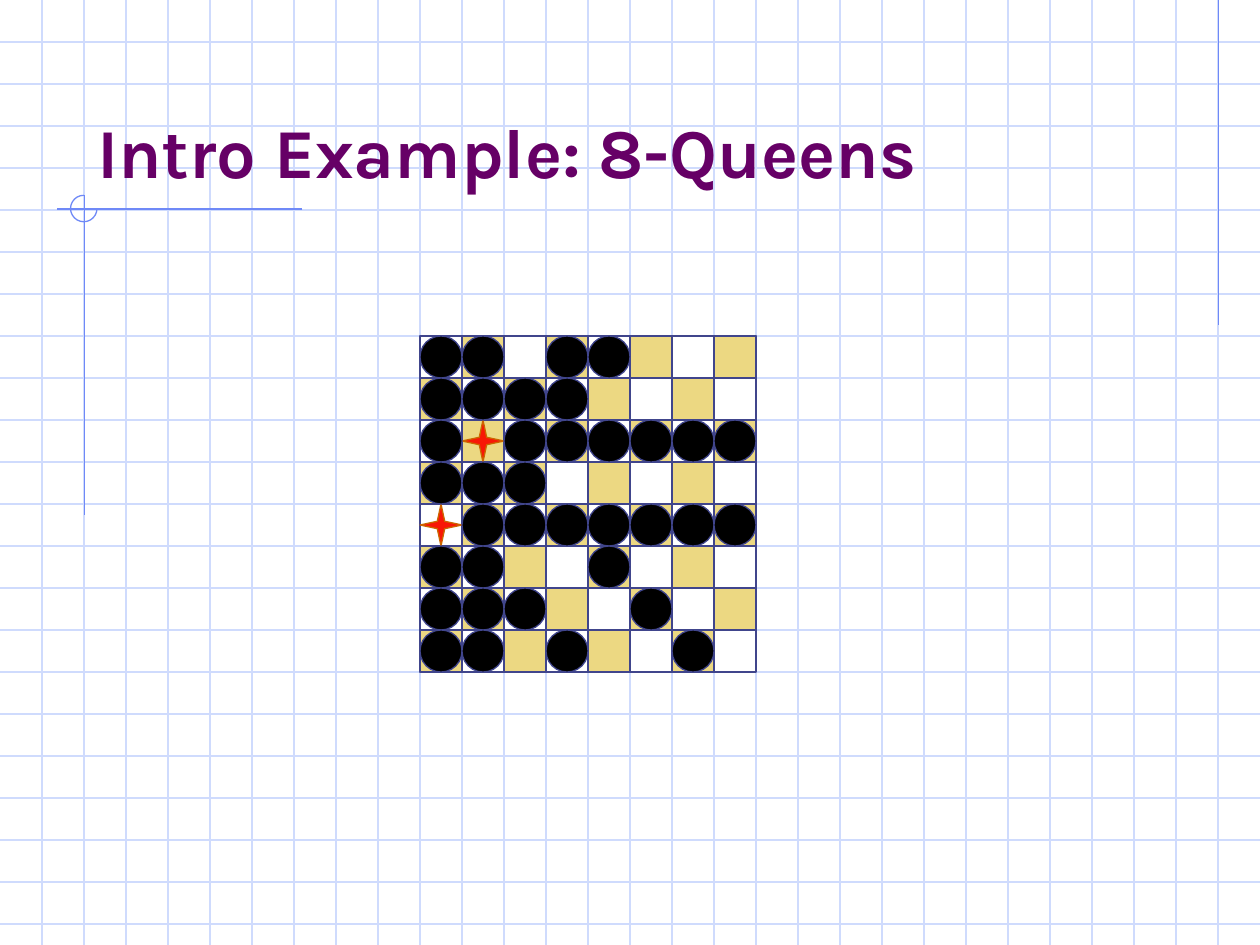
from itertools import product

from lxml.etree import SubElement
from pptx import Presentation
from pptx.dml.color import RGBColor
from pptx.enum.shapes import MSO_CONNECTOR, MSO_SHAPE
from pptx.enum.text import MSO_ANCHOR, MSO_AUTO_SIZE, PP_ALIGN
from pptx.oxml.ns import qn
from pptx.util import Inches, Pt

WIDTH, HEIGHT = 10, 7.5
CELL = 1 / 3
BOARD_LEFT, BOARD_TOP = 10 * CELL, 8 * CELL
BOARD_SIZE = 8
QUEENS = [(4, 0), (2, 1)]
GRID_COLOR = "CFDBFD"
ACCENT_COLOR = "6F89F7"
BOARD_LINE = "40458C"


def color(hex_value):
    return RGBColor.from_string(hex_value)


def add_line(shapes, start, end, line_color):
    line = shapes.add_connector(
        MSO_CONNECTOR.STRAIGHT, *(Inches(value) for value in start + end)
    )
    line.line.color.rgb = color(line_color)
    line.line.width = Pt(0.75)
    SubElement(line.element.spPr, qn("a:effectLst"))


def add_outlined(shapes, preset, box, line_color, fill=None):
    shape = shapes.add_shape(preset, *(Inches(value) for value in box))
    shape.shadow.inherit = False
    if fill:
        shape.fill.solid()
        shape.fill.fore_color.rgb = color(fill)
    else:
        shape.fill.background()
    shape.line.color.rgb = color(line_color)
    shape.line.width = Pt(0.75)
    return shape


def add_background_grid(slide):
    grid = slide.shapes.add_group_shape().shapes
    for step in range(1, 23):
        add_line(grid, (0, step * CELL), (WIDTH, step * CELL), GRID_COLOR)
    for step in range(1, 30):
        add_line(grid, (step * CELL, 0), (step * CELL, HEIGHT), GRID_COLOR)


def add_accents(slide):
    accents = slide.shapes.add_group_shape().shapes
    add_line(accents, (9.67, 0), (9.67, 2.58), ACCENT_COLOR)
    add_line(accents, (2.4, 1.66), (0.45, 1.66), ACCENT_COLOR)
    add_line(accents, (0.67, 1.55), (0.67, 4.09), ACCENT_COLOR)
    arc = add_outlined(accents, MSO_SHAPE.ARC, (0.56, 1.55, 0.21, 0.21), ACCENT_COLOR)
    arc.adjustments[0] = 0
    arc.adjustments[1] = 162


def format_title(slide, text):
    title = slide.shapes.title
    slide.shapes.element.append(title.element)
    title.left, title.top = Inches(0.67), Inches(0.33)
    title.width, title.height = Inches(8.5), Inches(1.25)
    frame = title.text_frame
    frame.auto_size = MSO_AUTO_SIZE.NONE
    frame.word_wrap = True
    frame.vertical_anchor = MSO_ANCHOR.BOTTOM
    paragraph = frame.paragraphs[0]
    paragraph.alignment = PP_ALIGN.LEFT
    run = paragraph.add_run()
    run.text = text
    run.font.name = "Karla"
    run.font.size = Pt(40)
    run.font.bold = True
    run.font.color.rgb = color("660066")


def cell_box(row, column):
    return BOARD_LEFT + column * CELL, BOARD_TOP + row * CELL, CELL, CELL


def is_attacked(row, column):
    return (row, column) not in QUEENS and any(
        row == queen_row
        or column == queen_column
        or abs(row - queen_row) == abs(column - queen_column)
        for queen_row, queen_column in QUEENS
    )


def add_board(slide):
    cells = list(product(range(BOARD_SIZE), repeat=2))
    side = BOARD_SIZE * CELL
    board = slide.shapes.add_group_shape().shapes
    add_outlined(
        board, MSO_SHAPE.RECTANGLE, (BOARD_LEFT, BOARD_TOP, side, side), BOARD_LINE
    )
    for row, column in cells:
        if (row + column) % 2:
            add_outlined(
                board, MSO_SHAPE.RECTANGLE, cell_box(row, column), BOARD_LINE, "ECD882"
            )
    for queen in QUEENS:
        add_outlined(
            slide.shapes, MSO_SHAPE.STAR_4_POINT, cell_box(*queen), "CC6600", "F81706"
        )
    attacked = slide.shapes.add_group_shape().shapes
    for cell in cells:
        if is_attacked(*cell):
            add_outlined(attacked, MSO_SHAPE.OVAL, cell_box(*cell), BOARD_LINE, "000000")


def main():
    presentation = Presentation()
    presentation.slide_width = Inches(WIDTH)
    presentation.slide_height = Inches(HEIGHT)
    slide = presentation.slides.add_slide(presentation.slide_layouts[5])
    add_background_grid(slide)
    add_accents(slide)
    format_title(slide, "Intro Example: 8-Queens")
    add_board(slide)
    presentation.save("out.pptx")


if __name__ == "__main__":
    main()
